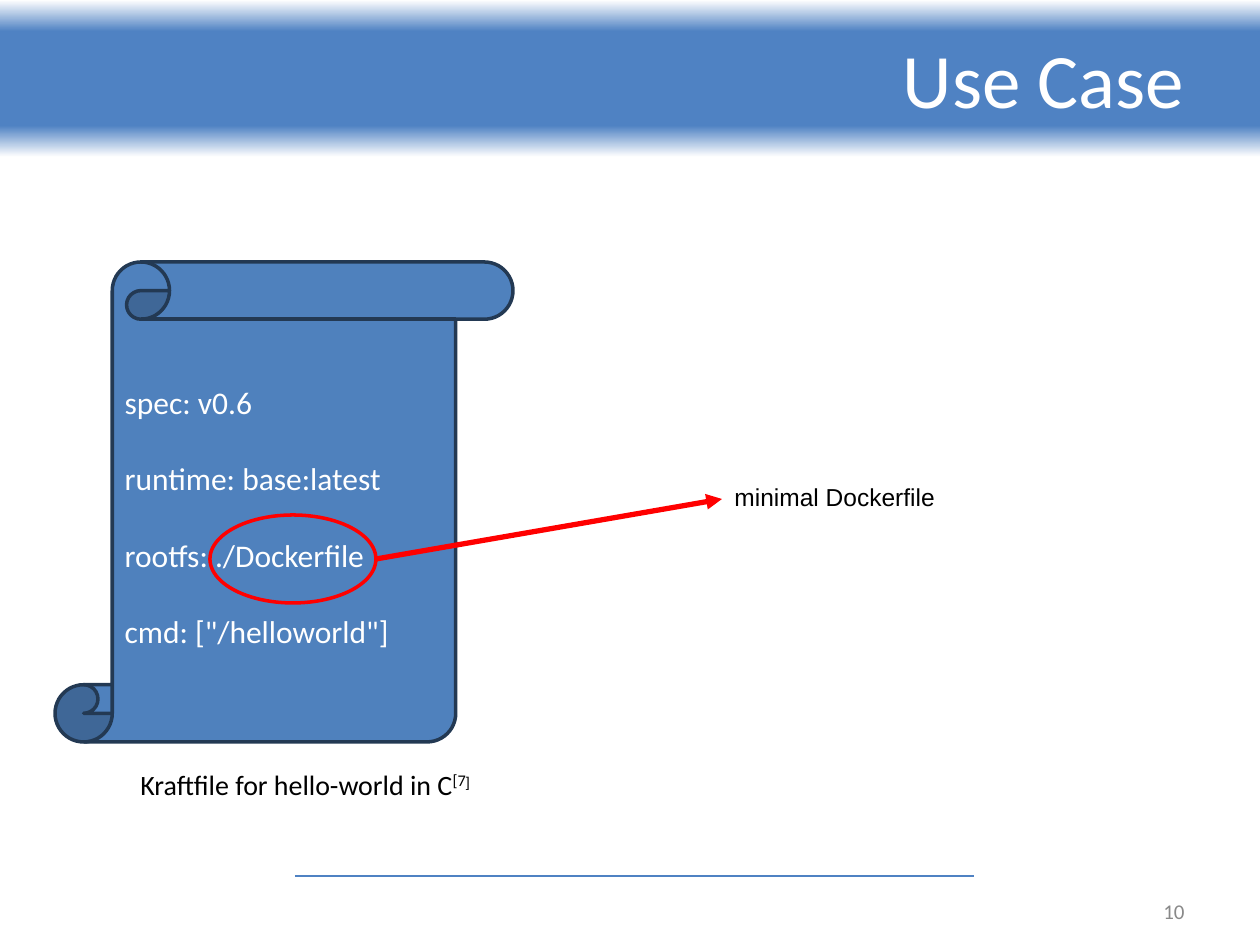
import pptx
import pptx.util
import pptx.dml.color
import pptx.enum.shapes
import pptx.enum.text
import pptx.oxml.ns
import lxml.etree

RGB = pptx.dml.color.RGBColor
WHITE = RGB(0xFF, 0xFF, 0xFF)
BLACK = RGB(0, 0, 0)
GREY = RGB(0x89, 0x89, 0x89)
RED = RGB(0xFF, 0, 0)
BAND_BLUE = RGB(0x4F, 0x82, 0xC3)
SCROLL_BLUE = RGB(0x4F, 0x81, 0xBD)
SCROLL_EDGE = RGB(0x23, 0x39, 0x53)

SHAPE = pptx.enum.shapes.MSO_SHAPE
ALIGN = pptx.enum.text.PP_ALIGN
ANCHOR = pptx.enum.text.MSO_ANCHOR
Pt = pptx.util.Pt
qn = pptx.oxml.ns.qn

EMU_PER_PX = 914400 / 126  # 126 px to the inch

KRAFTFILE = [
    "spec: v0.6",
    "runtime: base:latest",
    "rootfs: ./Dockerfile",
    'cmd: ["/helloworld"]',
]


def px(*lengths):
    return [round(n * EMU_PER_PX) for n in lengths]


def apply(obj, formats):
    for name, value in formats.items():
        setattr(obj, name, value)


def add_run(p, text, size, color, font="Calibri", raised=False):
    r = p.add_run()
    r.text = text
    apply(r.font, {"size": Pt(size), "name": font})
    r.font.color.rgb = color
    if raised:
        r.font._element.set("baseline", "30000")


def add_text(s, box, runs, align=ALIGN.LEFT, anchor=ANCHOR.TOP):
    tf = s.shapes.add_textbox(*px(*box)).text_frame
    apply(tf, {"word_wrap": True, "vertical_anchor": anchor})
    p = tf.paragraphs[0]
    p.alignment = align
    for run in runs:
        add_run(p, **run)


def add_outlined(s, preset, box, line, fill=None):
    sp = s.shapes.add_shape(preset, *px(*box))
    sp.shadow.inherit = False
    if fill is None:
        sp.fill.background()
    else:
        sp.fill.solid()
        sp.fill.fore_color.rgb = fill
    sp.line.color.rgb = line
    sp.line.width = Pt(2)
    return sp


def add_line(s, ends, color, width, arrow=False):
    line = s.shapes.add_connector(pptx.enum.shapes.MSO_CONNECTOR.STRAIGHT, *px(*ends))
    line.line.color.rgb = color
    line.line.width = Pt(width)
    if arrow:
        ln = line.line._get_or_add_ln()
        lxml.etree.SubElement(ln, qn("a:tailEnd"), type="triangle")
    lxml.etree.SubElement(line._element.spPr, qn("a:effectLst"))


def add_band(s, box, stops):
    sp = s.shapes.add_shape(SHAPE.RECTANGLE, *px(*box))
    sp.shadow.inherit = False
    sp.line.fill.background()
    sp.fill.gradient()
    sp.fill.gradient_angle = 90
    stop_list = sp._element.spPr.find(".//" + qn("a:gsLst"))
    for old in list(stop_list):
        stop_list.remove(old)
    for percent, color in stops:
        stop = lxml.etree.SubElement(stop_list, qn("a:gs"), pos=str(percent * 1000))
        lxml.etree.SubElement(stop, qn("a:srgbClr"), val=str(color))


def add_scroll(s, box, lines):
    sp = add_outlined(s, SHAPE.VERTICAL_SCROLL, box, SCROLL_EDGE, SCROLL_BLUE)
    tf = sp.text_frame
    apply(tf, {"word_wrap": True, "vertical_anchor": ANCHOR.MIDDLE})
    for i, text in enumerate(lines):
        p = tf.add_paragraph() if i else tf.paragraphs[0]
        apply(p, {"alignment": ALIGN.LEFT, "space_before": Pt(22 if i else 0)})
        add_run(p, text, 18, WHITE)


def main():
    prs = pptx.Presentation()
    prs.slide_width, prs.slide_height = px(1260, 945)
    s = prs.slides.add_slide(prs.slide_layouts[6])

    # Header band, footer rule, title and page number
    add_band(s, (0, 0, 1260, 157),
             [(0, WHITE), (20, BAND_BLUE), (80, BAND_BLUE), (100, WHITE)])
    add_line(s, (295, 876, 974, 876), BAND_BLUE, 1.5)
    add_text(s, (168, 18, 1029, 120), [dict(text="Use Case", size=44, color=WHITE)],
             ALIGN.RIGHT, ANCHOR.MIDDLE)
    add_text(s, (1074, 896, 123, 30), [dict(text="10", size=12, color=GREY)],
             ALIGN.RIGHT, ANCHOR.MIDDLE)

    # Kraftfile scroll with its caption
    add_scroll(s, (55, 262, 458, 480), KRAFTFILE)
    add_text(s, (128, 761, 1089, 48), [
        dict(text="Kraftfile for hello-world in C", size=16, color=BLACK),
        dict(text="[7", size=16, color=BLACK, raised=True),
        dict(text="]", size=14, color=BLACK, font="Arial", raised=True),
    ])

    # Callout on the Dockerfile entry
    add_outlined(s, SHAPE.OVAL, (210, 515, 166, 88), RED)
    add_line(s, (376, 559, 722, 499), RED, 3, arrow=True)
    add_text(s, (722, 476, 320, 43),
             [dict(text="minimal Dockerfile", size=14, color=BLACK, font="Arial")])

    prs.save("out.pptx")


if __name__ == "__main__":
    main()
